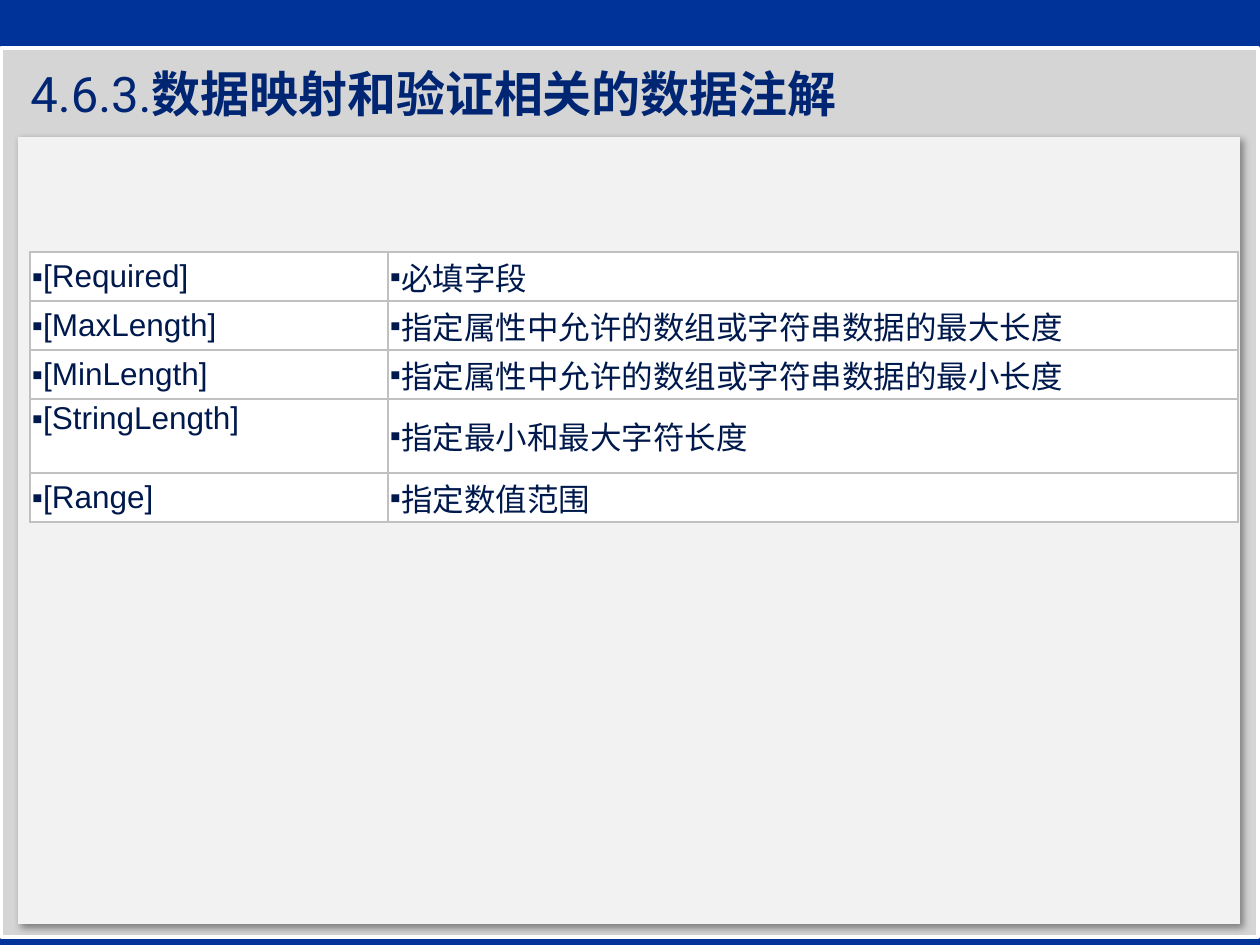
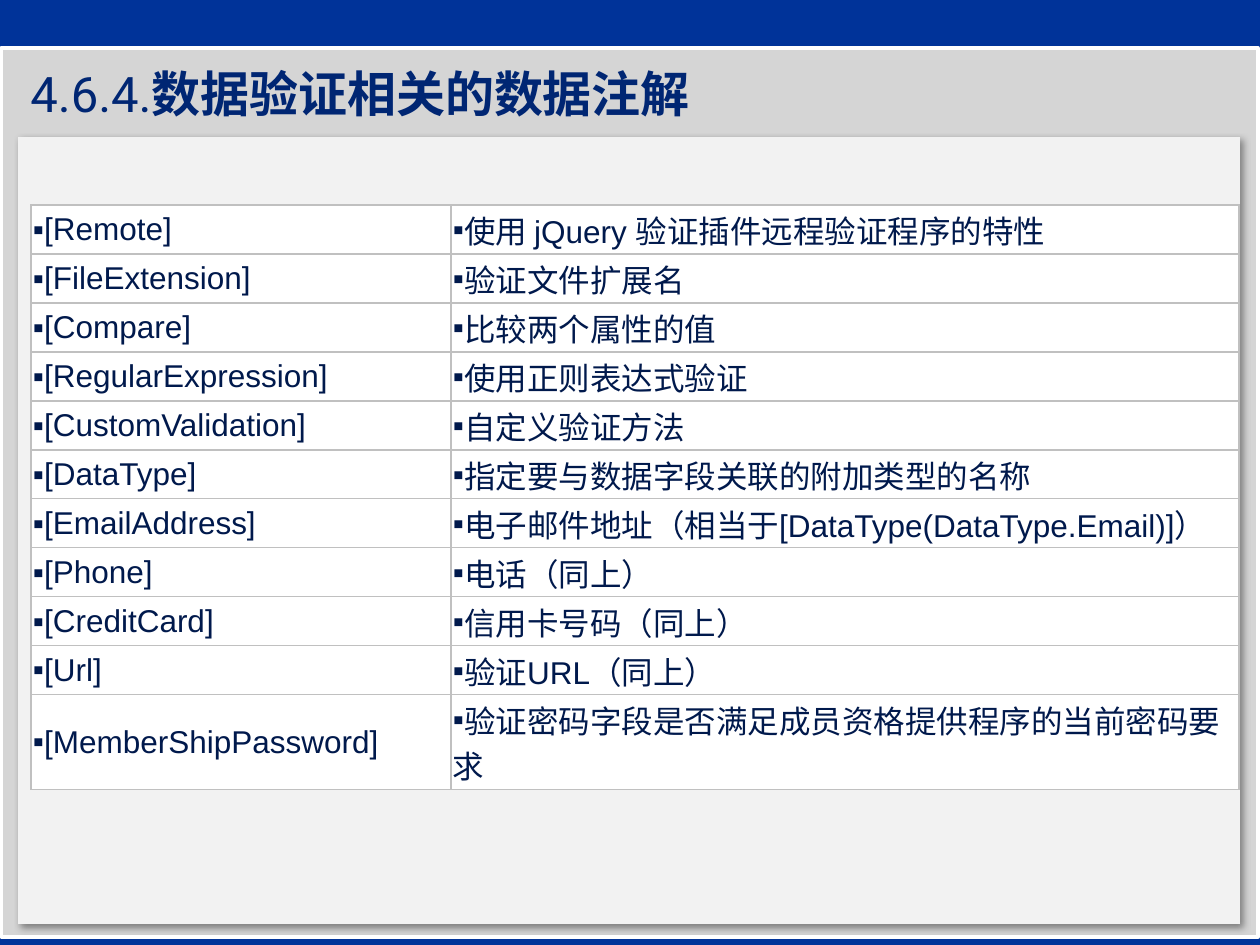
import pptx
import pptx.util
import pptx.dml.color
import pptx.enum.shapes
import pptx.enum.text
import pptx.oxml
import pptx.oxml.ns

EMU_PER_PX = 914400 // 126
NAMESPACE = pptx.oxml.ns.nsdecls("a")
COLORS = {
    "background": "003399",
    "frame": "D5D5D5",
    "panel": "F2F2F2",
    "white": "FFFFFF",
    "title": "002673",
    "text": "00194C",
    "border": "C0C0C0",
    "shadow": "000000",
}
COLOR = {name: pptx.dml.color.RGBColor.from_string(value) for name, value in COLORS.items()}
ROW_HEIGHT = 49
CELL_INSET = 2 * EMU_PER_PX

SLIDES = [
    {
        "number": "4.6.3.",
        "title": "数据映射和验证相关的数据注解",
        "left": 30,
        "top": 252,
        "columns": [358, 850],
        "tall_rows": {3: 74},
        "top_cells": [(3, 0)],
        "rows": [
            ("[Required]", "必填字段"),
            ("[MaxLength]", "指定属性中允许的数组或字符串数据的最大长度"),
            ("[MinLength]", "指定属性中允许的数组或字符串数据的最小长度"),
            ("[StringLength]", "指定最小和最大字符长度"),
            ("[Range]", "指定数值范围"),
        ],
    },
    {
        "number": "4.6.4.",
        "title": "数据验证相关的数据注解",
        "left": 31,
        "top": 205,
        "columns": [420, 788],
        "tall_rows": {10: 95},
        "top_cells": [],
        "rows": [
            ("[Remote]", "使用 jQuery 验证插件远程验证程序的特性"),
            ("[FileExtension]", "验证文件扩展名"),
            ("[Compare]", "比较两个属性的值"),
            ("[RegularExpression]", "使用正则表达式验证"),
            ("[CustomValidation]", "自定义验证方法"),
            ("[DataType]", "指定要与数据字段关联的附加类型的名称"),
            ("[EmailAddress]", "电子邮件地址（相当于[DataType(DataType.Email)]）"),
            ("[Phone]", "电话（同上）"),
            ("[CreditCard]", "信用卡号码（同上）"),
            ("[Url]", "验证URL（同上）"),
            ("[MemberShipPassword]", "验证密码字段是否满足成员资格提供程序的当前密码要求"),
        ],
    },
]


def px(*lengths):
    return [length * EMU_PER_PX for length in lengths]


def add_rectangle(slide, box, color):
    shape = slide.shapes.add_shape(pptx.enum.shapes.MSO_SHAPE.RECTANGLE, *px(*box))
    shape.shadow.inherit = False
    shape.fill.solid()
    shape.fill.fore_color.rgb = COLOR[color]
    shape.line.fill.background()
    return shape


presentation = pptx.Presentation()
presentation.slide_width, presentation.slide_height = px(1260, 945)

for content in SLIDES:
    slide = presentation.slides.add_slide(presentation.slide_layouts[6])
    slide.background.fill.solid()
    slide.background.fill.fore_color.rgb = COLOR["background"]

    frame = add_rectangle(slide, (1, 48, 1257, 889), "frame")
    frame.line.color.rgb = COLOR["white"]
    frame.line.width = pptx.util.Pt(2)

    panel = add_rectangle(slide, (18, 137, 1222, 787), "panel")
    effects = panel._element.spPr.find(pptx.oxml.ns.qn("a:effectLst"))
    effects.append(pptx.oxml.parse_xml(
        f'<a:outerShdw {NAMESPACE} blurRad="50800" dist="38100" dir="2700000" algn="tl" rotWithShape="0">'
        f'<a:srgbClr val="{COLORS["shadow"]}"><a:alpha val="40000"/></a:srgbClr></a:outerShdw>'
    ))

    title = slide.shapes.add_textbox(*px(18, 59, 1221, 67)).text_frame
    title.word_wrap = True
    title.vertical_anchor = pptx.enum.text.MSO_ANCHOR.MIDDLE
    paragraph = title.paragraphs[0]
    for text, bold in ((content["number"], False), (content["title"], True)):
        run = paragraph.add_run()
        run.text = text
        run.font.name = "Roboto"
        run.font.size = pptx.util.Pt(28)
        run.font.bold = bold
        run.font.color.rgb = COLOR["title"]

    rows = content["rows"]
    heights = [content["tall_rows"].get(index, ROW_HEIGHT) for index in range(len(rows))]
    box = px(content["left"], content["top"], sum(content["columns"]), sum(heights))
    table = slide.shapes.add_table(len(rows), 2, *box).table
    table.first_row = False
    table.horz_banding = False
    for column, width in zip(table.columns, px(*content["columns"])):
        column.width = width
    for row, height in zip(table.rows, px(*heights)):
        row.height = height

    for row_index, row_texts in enumerate(rows):
        for column_index, text in enumerate(row_texts):
            cell = table.cell(row_index, column_index)
            cell.margin_left = cell.margin_right = CELL_INSET
            cell.margin_top = cell.margin_bottom = CELL_INSET
            at_top = (row_index, column_index) in content["top_cells"]
            anchors = pptx.enum.text.MSO_ANCHOR
            cell.vertical_anchor = anchors.TOP if at_top else anchors.MIDDLE
            cell_properties = cell._tc.get_or_add_tcPr()
            for side in "LRTB":
                cell_properties.append(pptx.oxml.parse_xml(
                    f'<a:ln{side} {NAMESPACE} w="12700"><a:solidFill>'
                    f'<a:srgbClr val="{COLORS["border"]}"/></a:solidFill></a:ln{side}>'
                ))
            cell.fill.solid()
            cell.fill.fore_color.rgb = COLOR["white"]

            paragraph = cell.text_frame.paragraphs[0]
            paragraph_properties = paragraph._p.get_or_add_pPr()
            paragraph_properties.set("marL", "0")
            paragraph_properties.set("indent", "0")
            paragraph_properties.append(pptx.oxml.parse_xml(f'<a:buFont {NAMESPACE} typeface="Arial"/>'))
            paragraph_properties.append(pptx.oxml.parse_xml(f'<a:buChar {NAMESPACE} char="▪"/>'))
            run = paragraph.add_run()
            run.text = text
            run.font.name = "Arial"
            run.font.size = pptx.util.Pt(18)
            run.font.color.rgb = COLOR["text"]

presentation.save("out.pptx")
